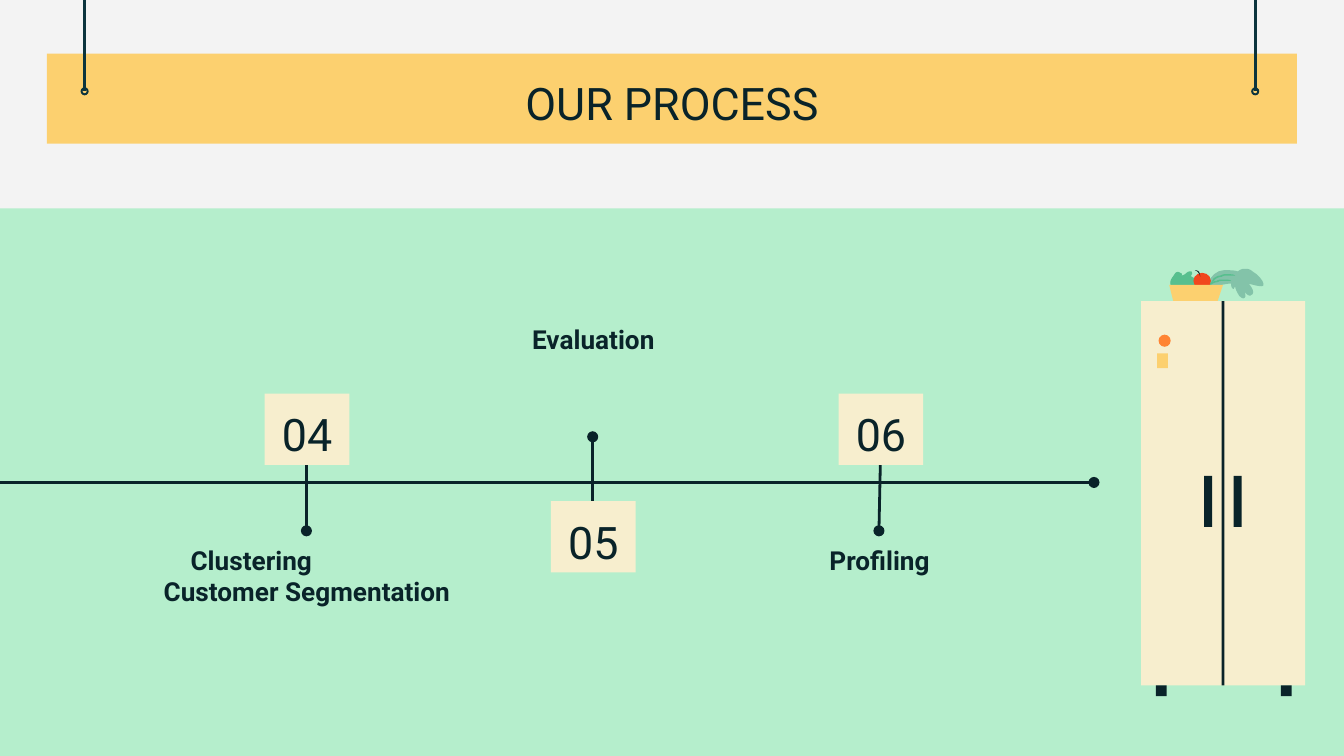
from lxml import etree
from pptx import Presentation
from pptx.dml.color import RGBColor
from pptx.enum.shapes import MSO_CONNECTOR, MSO_SHAPE
from pptx.enum.text import MSO_ANCHOR, PP_ALIGN
from pptx.oxml.ns import qn
from pptx.util import Inches, Pt

RECTANGLE, OVAL, DONUT = MSO_SHAPE.RECTANGLE, MSO_SHAPE.OVAL, MSO_SHAPE.DONUT
STRAIGHT = MSO_CONNECTOR.STRAIGHT
CENTER, LEFT, TOP = PP_ALIGN.CENTER, PP_ALIGN.LEFT, MSO_ANCHOR.TOP

DARK, CORD, CREAM, YELLOW = "092329", "0C343D", "F7EECE", "FCD06F"
MINT, PAPER, LEAF, PALE_LEAF = "B5EECC", "F3F3F3", "57BF8E", "83C3A9"
RED, ORANGE = "F1471D", "FF8433"
FONT = "Roboto"
WIDTH, HEIGHT = 10, 10 * 9 / 16

# Curved outlines in hundredths of an inch: a start, then cubic curves
GREENS = (77, 0), [
    (74, 0, 72, 2, 72, 2), (72, 2, 71, 1, 62, 1), (53, 1, 49, 12, 49, 12),
    (49, 15, 50, 16, 52, 16), (55, 16, 60, 12, 60, 12),
    (60, 12, 64, 11, 67, 11), (67, 14, 68, 15, 69, 15),
    (69, 15, 70, 13, 70, 13), (70, 15, 73, 22, 76, 22),
    (79, 22, 77, 17, 77, 17), (77, 17, 79, 20, 81, 20),
    (82, 20, 82, 19, 83, 19), (85, 16, 80, 11, 80, 11),
    (80, 11, 86, 13, 90, 13), (93, 13, 90, 6, 83, 2), (81, 0, 79, 0, 77, 0)]
VEIN = (63, 4), [
    (62, 4, 61, 4, 59, 5), (57, 5, 56, 6, 54, 7), (53, 9, 52, 10, 51, 12),
    (52, 11, 54, 9, 55, 8), (56, 7, 58, 6, 60, 6), (61, 5, 63, 5, 65, 5),
    (67, 5, 69, 5, 70, 5), (69, 4, 67, 4, 63, 4)]
LETTUCE = (36, 2), [
    (34, 2, 33, 5, 30, 5), (31, 4, 30, 3, 29, 3), (28, 2, 26, 2, 25, 4),
    (23, 7, 21, 9, 22, 12), (22, 13, 24, 15, 27, 16),
    (28, 16, 30, 16, 31, 16), (35, 16, 39, 15, 41, 13),
    (42, 12, 43, 9, 41, 8), (41, 7, 39, 7, 38, 6), (37, 6, 37, 5, 38, 4),
    (38, 2, 38, 2, 36, 2)]
STEM = (40, 1), [(43, 2, 44, 5, 44, 6), (44, 3, 43, 1, 40, 1)]
BOWL = [(21, 12), (24, 24), (57, 24), (61, 12)]


def color(value):
    return RGBColor.from_string(value)


def paint(shape, fill):
    shape.shadow.inherit = False
    shape.fill.solid()
    shape.fill.fore_color.rgb = color(fill)
    shape.line.fill.background()
    return shape


def add_box(slide, left, top, width, height, fill, kind=RECTANGLE):
    return paint(slide.shapes.add_shape(
        kind, Inches(left), Inches(top), Inches(width), Inches(height)), fill)


def add_line(slide, start, end, stroke=DARK, dot=False):
    line = slide.shapes.add_connector(STRAIGHT, *map(Inches, start + end))
    line.line.color.rgb = color(stroke)
    line.line.width = Pt(1.5)
    if dot:
        etree.SubElement(line.line._get_or_add_ln(), qn("a:tailEnd"), type="oval")
    etree.SubElement(line._element.spPr, qn("a:effectLst"))


def write(shape, text, size, bold=False):
    frame = shape.text_frame
    frame.word_wrap = True
    frame.vertical_anchor = TOP
    frame.margin_left = frame.margin_right = Inches(0.1)
    frame.margin_top = frame.margin_bottom = Inches(0.1)
    paragraph = frame.paragraphs[0]
    paragraph.text = text
    paragraph.alignment = CENTER
    font = paragraph.font
    font.name, font.size, font.bold = FONT, Pt(size), bold
    font.color.rgb = color(DARK)
    return paragraph


def add_text(slide, left, top, width, height, text, size, bold=False):
    box = slide.shapes.add_textbox(
        Inches(left), Inches(top), Inches(width), Inches(height))
    return write(box, text, size, bold)


def trace(start, curves, steps=6):
    points = [start]
    for x1, y1, x2, y2, x3, y3 in curves:
        x0, y0 = points[-1]
        for step in range(1, steps + 1):
            t = step / steps
            u = 1 - t
            weights = u ** 3, 3 * u * u * t, 3 * u * t * t, t ** 3
            points.append((
                sum(w * x for w, x in zip(weights, (x0, x1, x2, x3))),
                sum(w * y for w, y in zip(weights, (y0, y1, y2, y3)))))
    return points


def add_outline(slide, left, top, points, fill):
    points = [(Inches(left + x / 100), Inches(top + y / 100)) for x, y in points]
    builder = slide.shapes.build_freeform(*points[0], scale=1.0)
    builder.add_line_segments(points[1:], close=True)
    paint(builder.convert_to_shape(), fill)


def draw_banner(slide, left, top, width, height):
    add_box(slide, left, top, width, height, YELLOW)
    # Hanging cords
    for x in (left + 0.28, left + width - 0.31):
        add_line(slide, (x, 0), (x, top + 0.28), CORD)
        add_box(slide, x - 0.03, top + 0.25, 0.06, 0.06, CORD, DONUT)
    add_text(slide, left + 1.15, top + 0.06, 7, 0.63, "OUR PROCESS", 24)


def draw_fridge(slide, left, top):
    # Fruit bowl
    add_outline(slide, left, top, trace(*GREENS), PALE_LEAF)
    for dx, dy in ((0, 0), (-0.03, 0.04)):
        add_outline(slide, left + dx, top + dy, trace(*VEIN), LEAF)
    add_outline(slide, left, top, trace(*LETTUCE), LEAF)
    add_box(slide, left + 0.39, top + 0.03, 0.13, 0.12, RED, OVAL)
    add_outline(slide, left, top, trace(*STEM), DARK)
    add_outline(slide, left, top, BOWL, YELLOW)
    # Body, door gap, handles, feet and controls
    for x, y, width, height, fill, kind in (
            (0, 0.24, 1.22, 2.86, CREAM, RECTANGLE),
            (0.6, 0.24, 0.02, 2.86, DARK, RECTANGLE),
            (0.47, 1.54, 0.06, 0.38, DARK, RECTANGLE),
            (0.69, 1.54, 0.06, 0.38, DARK, RECTANGLE),
            (0.11, 3.1, 0.08, 0.08, DARK, RECTANGLE),
            (1.04, 3.1, 0.08, 0.08, DARK, RECTANGLE),
            (0.13, 0.49, 0.09, 0.09, ORANGE, OVAL),
            (0.12, 0.63, 0.08, 0.11, YELLOW, RECTANGLE)):
        add_box(slide, left + x, top + y, width, height, fill, kind)


def draw_step(slide, center, axis, number, label, above, lean=0):
    """A numbered box on one side of the axis, its label on the other."""
    box_top = axis + 0.14 if above else axis - 0.66
    stem_start = box_top if above else box_top + 0.53
    stem_end = axis - 0.34 if above else axis + 0.36
    label_top = axis - 1.28 if above else axis + 0.36
    paragraph = add_text(slide, center - 1.18, label_top, 2.37, 0.87, label, 14, True)
    add_line(slide, (center + lean, stem_start), (center, stem_end), dot=True)
    write(add_box(slide, center + lean - 0.31, box_top, 0.63, 0.53, CREAM), number, 24)
    return paragraph


def draw_timeline(slide, left, axis, width):
    first = draw_step(slide, left + 2.28, axis, "04",
                      "Clustering\vCustomer Segmentation", False)
    # The first line stands a little further in than the second
    first.alignment = LEFT
    properties = first._p.get_or_add_pPr()
    properties.set("marL", str(Inches(0.02)))
    properties.set("indent", str(Inches(0.2)))
    draw_step(slide, left + 4.41, axis, "05", "Evaluation", True)
    draw_step(slide, left + 6.54, axis, "06", "Profiling", False, 0.01)
    add_line(slide, (left, axis), (left + width, axis), dot=True)


presentation = Presentation()
presentation.slide_width, presentation.slide_height = Inches(WIDTH), Inches(HEIGHT)
slide = presentation.slides.add_slide(presentation.slide_layouts[6])
slide.background.fill.solid()
slide.background.fill.fore_color.rgb = color(PAPER)
add_box(slide, 0, 1.55, WIDTH, HEIGHT - 1.55, MINT)
draw_banner(slide, 0.35, 0.4, 9.3, 0.67)
draw_fridge(slide, 8.49, 2)
draw_timeline(slide, 0, 3.59, 8.14)
presentation.save("out.pptx")
